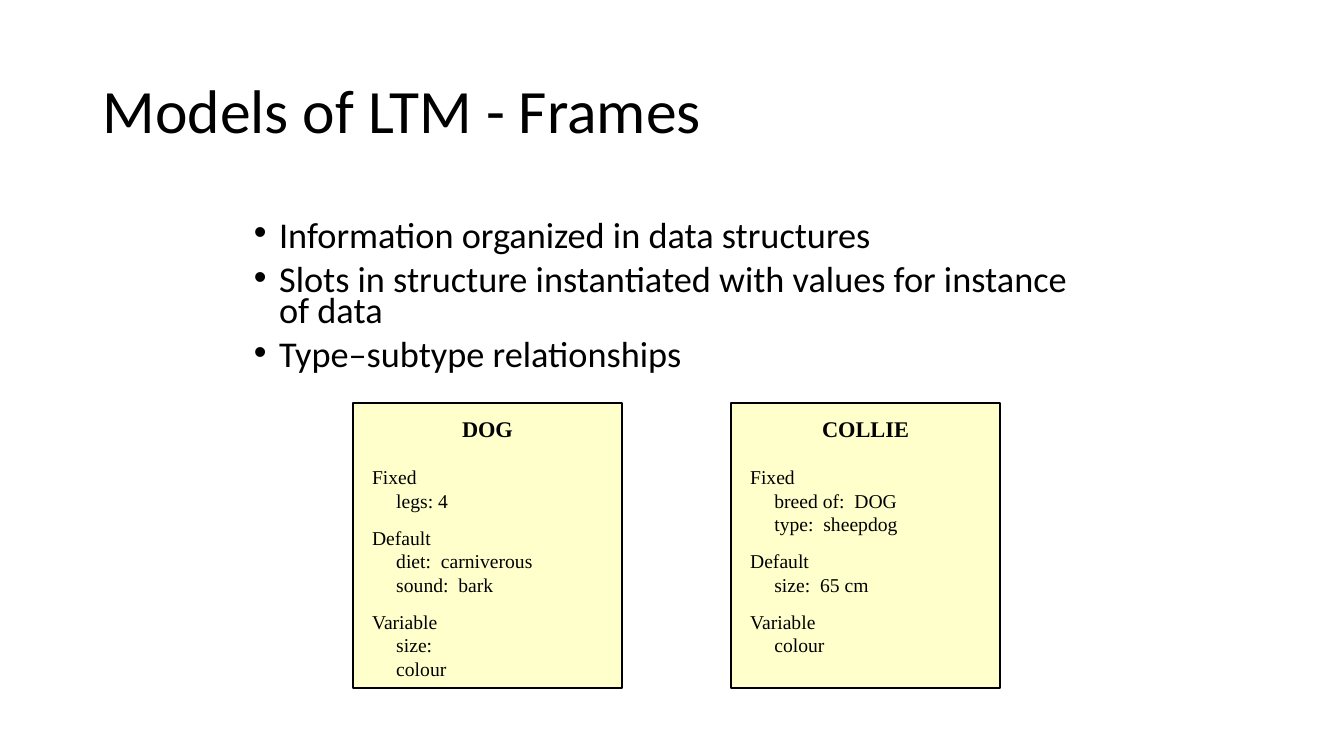
from lxml import etree
from pptx import Presentation
from pptx.dml.color import RGBColor
from pptx.enum.shapes import MSO_SHAPE as Shape
from pptx.enum.text import MSO_ANCHOR as Anchor, PP_ALIGN as Align
from pptx.oxml.ns import qn
from pptx.util import Inches, Pt

TITLE = "Models of LTM - Frames"
POINTS = [
    "Information organized in data structures",
    "Slots in structure instantiated with values for instance of data",
    "Type–subtype relationships",
]
FRAMES = [
    ("DOG", [
        ("Fixed", ["legs: 4"]),
        ("Default", ["diet:  carniverous", "sound:  bark"]),
        ("Variable", ["size:", "colour"]),
    ]),
    ("COLLIE", [
        ("Fixed", ["breed of:  DOG", "type:  sheepdog"]),
        ("Default", ["size:  65 cm"]),
        ("Variable", ["colour"]),
    ]),
]
COLORS = {"ink": "000000", "card": "FFFFCC"}
SANS, SERIF = "Calibri", "Times New Roman"

# Card row: left edge of the first card, step between cards, top, size
CARD_LEFT, CARD_STEP, CARD_TOP = 3.5, 3.75, 4
CARD_WIDTH, CARD_HEIGHT = 2.67, 2.83
CARD_PAD, SLOT_INDENT = 0.19, 0.24
FIRST_GAP, GROUP_GAP = 16.5, 9.5


def color(name):
    return RGBColor.from_string(COLORS[name])


def set_indent(para, left, hanging=0, bullet=None):
    props = para._p.get_or_add_pPr()
    props.set("marL", str(Inches(left)))
    props.set("indent", str(-Inches(hanging)))
    if bullet:
        etree.SubElement(props, qn("a:buFont")).set("typeface", "Arial")
        etree.SubElement(props, qn("a:buChar")).set("char", bullet)


def write(frame, text, size, font, bold=False, before=0, spacing=None):
    """Fill the empty first paragraph of a frame, or append a new one."""
    first = frame.paragraphs[0]
    para = frame.add_paragraph() if first.runs else first
    para.text = text
    para.alignment = Align.LEFT
    para.space_before = Pt(before)
    if spacing:
        para.line_spacing = spacing
    span = para.runs[0].font
    span.size, span.name, span.bold = Pt(size), font, bold
    span.color.rgb = color("ink")
    return para


def add_text_box(page, left, top, width, height, anchor):
    box = page.shapes.add_textbox(*map(Inches, (left, top, width, height)))
    frame = box.text_frame
    frame.word_wrap = True
    frame.vertical_anchor = anchor
    return frame


def add_card(page, column, name, groups):
    left = CARD_LEFT + column * CARD_STEP
    card = page.shapes.add_shape(Shape.RECTANGLE, *map(
        Inches, (left, CARD_TOP, CARD_WIDTH, CARD_HEIGHT)))
    card.shadow.inherit = False
    card.fill.solid()
    card.fill.fore_color.rgb = color("card")
    card.line.color.rgb = color("ink")
    card.line.width = Pt(1.5)

    frame = card.text_frame
    frame.word_wrap = True
    frame.vertical_anchor = Anchor.TOP
    frame.margin_left = frame.margin_right = Inches(CARD_PAD)
    frame.margin_top = Inches(0.12)
    write(frame, name, 16, SERIF, bold=True).alignment = Align.CENTER
    for number, (heading, slots) in enumerate(groups):
        gap = GROUP_GAP if number else FIRST_GAP
        write(frame, heading, 14, SERIF, before=gap)
        for slot in slots:
            set_indent(write(frame, slot, 14, SERIF), SLOT_INDENT)


def main():
    deck = Presentation()
    deck.slide_width, deck.slide_height = Inches(13.33), Inches(7.5)
    page = deck.slides.add_slide(deck.slide_layouts[6])

    # Title
    frame = add_text_box(page, 0.92, 0.4, 11.5, 1.45, Anchor.MIDDLE)
    write(frame, TITLE, 44, SANS, spacing=0.9)

    # Bullet points
    frame = add_text_box(page, 2.42, 2.17, 8.5, 1.75, Anchor.TOP)
    for number, point in enumerate(POINTS):
        para = write(frame, point, 25.9, SANS,
                     before=10 if number else 0, spacing=0.7)
        set_indent(para, 0.25, 0.25, "•")

    # Frame cards
    for column, (name, groups) in enumerate(FRAMES):
        add_card(page, column, name, groups)

    deck.save("out.pptx")


if __name__ == "__main__":
    main()
